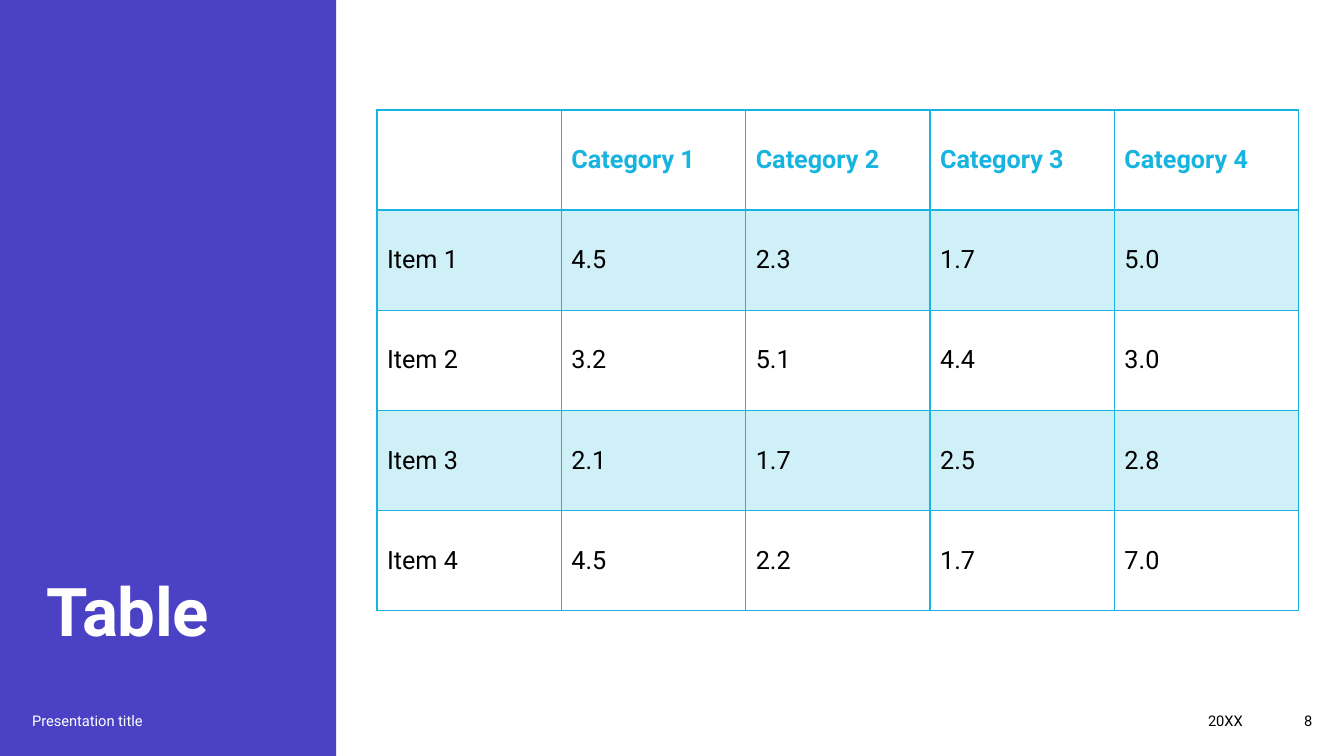
from dataclasses import dataclass

import lxml.etree
import pptx
import pptx.dml.color
import pptx.enum.shapes
import pptx.enum.text
import pptx.oxml.ns
import pptx.util
from pptx.util import Cm, Pt

FONT = "Roboto"
PURPLE, CYAN, WHITE, BLACK = "4A41C5", "17B4DF", "FFFFFF", "000000"
LEFT, RIGHT = pptx.enum.text.PP_ALIGN.LEFT, pptx.enum.text.PP_ALIGN.RIGHT
MIDDLE, BOTTOM = pptx.enum.text.MSO_ANCHOR.MIDDLE, pptx.enum.text.MSO_ANCHOR.BOTTOM

ROWS = [
    ["", "Category 1", "Category 2", "Category 3", "Category 4"],
    ["Item 1", "4.5", "2.3", "1.7", "5.0"],
    ["Item 2", "3.2", "5.1", "4.4", "3.0"],
    ["Item 3", "2.1", "1.7", "2.5", "2.8"],
    ["Item 4", "4.5", "2.2", "1.7", "7.0"],
]


@dataclass
class Label:
    text: str
    left: float
    top: float
    width: float
    height: float
    color: str
    size: float = 10.5
    bold: bool = False
    align: pptx.enum.text.PP_ALIGN = LEFT
    anchor: pptx.enum.text.MSO_ANCHOR = MIDDLE
    spacing: int = 0  # hundredths of a point


LABELS = [
    Label("Table", 0.92, 2.77, 6.63, 13.74, WHITE, 48, True, anchor=BOTTOM, spacing=-20),
    Label("Presentation title", 0.56, 17.65, 7.7, 1.02, WHITE),
    Label("20XX", 19.48, 17.65, 12.09, 1.02, BLACK, align=RIGHT),
    Label("8", 31.57, 17.65, 1.75, 1.02, BLACK, align=RIGHT),
]


def rgb(color: str) -> pptx.dml.color.RGBColor:
    return pptx.dml.color.RGBColor.from_string(color)


def style_paragraph(paragraph, size: float, color: str, bold: bool) -> None:
    paragraph.font.name = FONT
    paragraph.font.size = Pt(size)
    paragraph.font.bold = bold
    paragraph.font.color.rgb = rgb(color)


def add_label(slide, label: Label) -> None:
    box = slide.shapes.add_textbox(
        Cm(label.left), Cm(label.top), Cm(label.width), Cm(label.height))
    frame = box.text_frame
    frame.word_wrap = True
    frame.vertical_anchor = label.anchor
    paragraph = frame.paragraphs[0]
    paragraph.text = label.text
    paragraph.alignment = label.align
    style_paragraph(paragraph, label.size, label.color, label.bold)
    if label.spacing:
        paragraph.runs[0].font._element.set("spc", str(label.spacing))


def add_border(cell, side: str, color: str, width: float) -> None:
    qn = pptx.oxml.ns.qn
    properties = cell._tc.get_or_add_tcPr()
    line = lxml.etree.SubElement(properties, qn(f"a:ln{side}"), w=str(Pt(width)))
    fill = lxml.etree.SubElement(line, qn("a:solidFill"))
    lxml.etree.SubElement(fill, qn("a:srgbClr"), val=color)


def fill_cell(cell, color: str, opacity: int) -> None:
    cell.fill.solid()
    cell.fill.fore_color.rgb = rgb(color)
    qn = pptx.oxml.ns.qn
    tint = cell._tc.tcPr.find(f"{qn('a:solidFill')}/{qn('a:srgbClr')}")
    lxml.etree.SubElement(tint, qn("a:alpha"), val=str(opacity * 1000))


def add_category_table(slide) -> None:
    table = slide.shapes.add_table(
        len(ROWS), len(ROWS[0]), Cm(9.5), Cm(2.77), Cm(23.23), Cm(12.62)).table
    table.first_row = table.horz_banding = False
    for row, texts in enumerate(ROWS):
        header = row == 0
        for column, text in enumerate(texts):
            cell = table.cell(row, column)
            cell.vertical_anchor = MIDDLE
            paragraph = cell.text_frame.paragraphs[0]
            paragraph.text = text
            style_paragraph(paragraph, 18, CYAN if header else BLACK, header)

            # The rule under the header row is twice as wide
            widths = {"L": 1, "R": 1, "T": 2 if row == 1 else 1, "B": 2 if header else 1}
            for side, width in widths.items():
                add_border(cell, side, CYAN, width)

            # Odd rows are tinted
            if row % 2:
                fill_cell(cell, CYAN, 20)
            else:
                cell.fill.background()


def main() -> None:
    presentation = pptx.Presentation()
    presentation.slide_width, presentation.slide_height = Cm(33.87), Cm(19.05)
    slide = presentation.slides.add_slide(presentation.slide_layouts[6])

    # Side panel
    panel = slide.shapes.add_shape(
        pptx.enum.shapes.MSO_SHAPE.RECTANGLE, 0, 0, Cm(8.47), presentation.slide_height)
    panel.shadow.inherit = False
    panel.fill.solid()
    panel.fill.fore_color.rgb = rgb(PURPLE)
    panel.line.fill.background()

    # Table, title and footer
    add_category_table(slide)
    for label in LABELS:
        add_label(slide, label)

    presentation.save("out.pptx")


if __name__ == "__main__":
    main()
